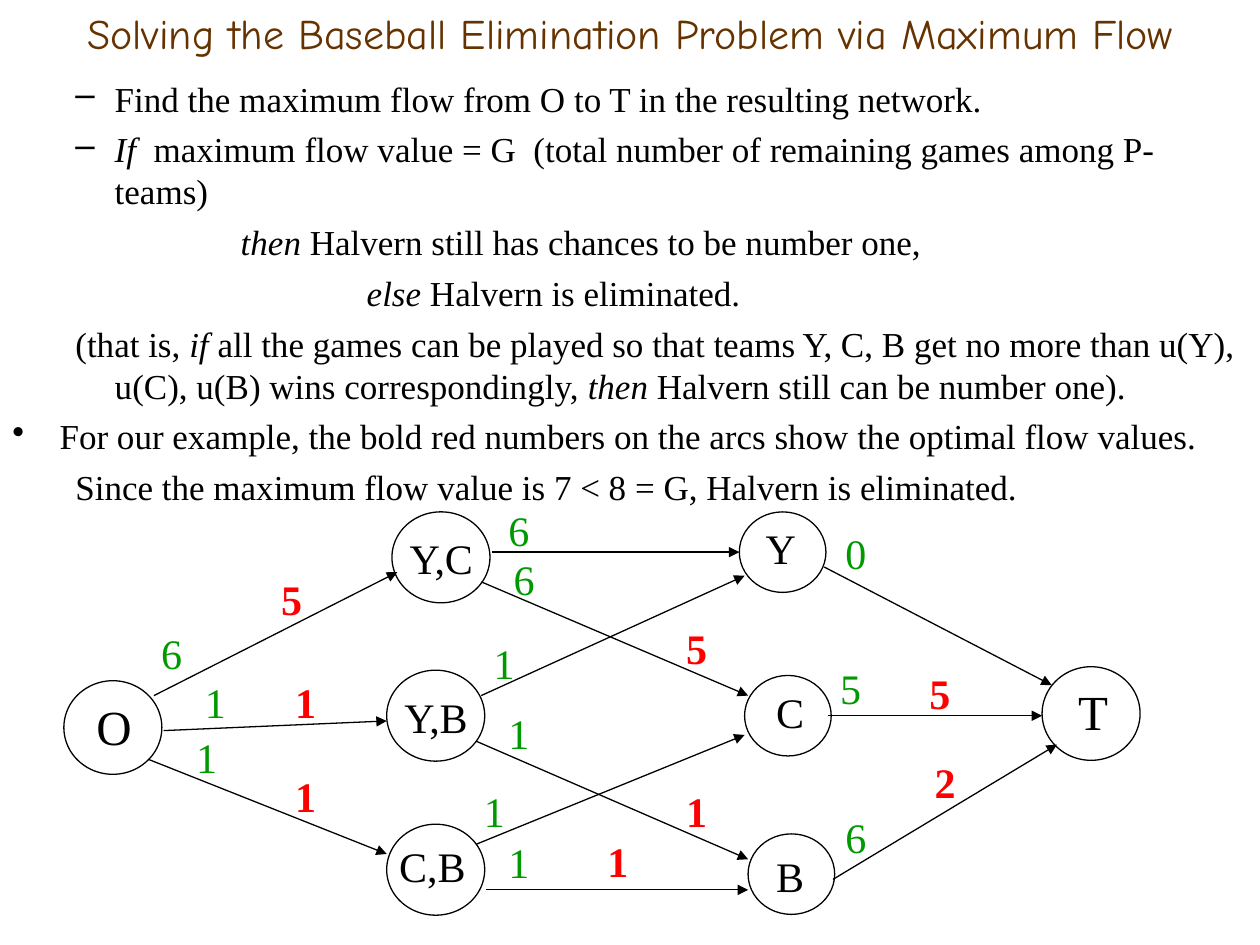
from dataclasses import dataclass
from typing import NamedTuple

from lxml.etree import SubElement
from pptx import Presentation
from pptx.dml.color import RGBColor
from pptx.enum.shapes import MSO_CONNECTOR, MSO_SHAPE
from pptx.enum.text import MSO_ANCHOR, PP_ALIGN
from pptx.oxml.ns import qn
from pptx.slide import Slide
from pptx.text.text import TextFrame
from pptx.util import Pt


@dataclass(frozen=True)
class Theme:
    title_font: str = "Comic Neue"
    body_font: str = "Times New Roman"
    title_size: float = 24
    body_size: float = 20
    label_size: float = 24
    terminal_size: float = 28
    line_width: float = 0.75
    brown: RGBColor = RGBColor(0x66, 0x33, 0x00)
    black: RGBColor = RGBColor(0, 0, 0)
    white: RGBColor = RGBColor(255, 255, 255)
    green: RGBColor = RGBColor(0, 0x99, 0)
    red: RGBColor = RGBColor(255, 0, 0)


THEME = Theme()


class Span(NamedTuple):
    text: str
    italic: bool = False


class Statement(NamedTuple):
    spans: list[Span]
    margin: float = 58.5
    indent: float = -22.5
    bullet: str = ""


class Kind(NamedTuple):
    width: float
    height: float
    label_width: float
    label_height: float
    size: float


class Node(NamedTuple):
    name: str
    kind: Kind
    left: float
    top: float
    label_left: float
    label_top: float


class Arc(NamedTuple):
    start_x: float
    start_y: float
    end_x: float
    end_y: float


class Number(NamedTuple):
    value: str
    left: float
    top: float


STATEMENTS = [
    Statement([Span("Find the maximum flow from O to T in the resulting network.")], bullet="–"),
    Statement([Span("If", True),
               Span("  maximum flow value = G  (total number of remaining games among P-teams)")],
              bullet="–"),
    Statement([Span("then", True), Span(" Halvern still has chances to be number one,")], 130.5, 0),
    Statement([Span("else", True), Span(" Halvern is eliminated.")], 202.5, 0),
    Statement([Span("(that is, "), Span("if", True),
               Span(" all the games can be played so that teams Y, C, B get no more than "
                    "u(Y), u(C), u(B) wins correspondingly, "),
               Span("then", True), Span(" Halvern still can be number one).")]),
    Statement([Span("For our example, the bold red numbers on the arcs show "
                    "the optimal flow values.")], 27, -27, "•"),
    Statement([Span("Since the maximum flow value is 7 < 8 = G, Halvern is eliminated.")]),
]

GAME = Kind(56, 52, 55, 36, THEME.label_size)
TEAM = Kind(49.5, 46, 31, 36, THEME.label_size)
TERMINAL = Kind(56, 53.5, 36, 41, THEME.terminal_size)

NODES = [
    Node("Y,C", GAME, 224, 292.5, 227, 301),
    Node("Y,B", GAME, 221, 383, 224, 391.5),
    Node("C,B", GAME, 221, 471, 221, 476.5),
    Node("Y", TEAM, 422.5, 292.5, 430.5, 295),
    Node("C", TEAM, 425.5, 386, 436.5, 389),
    Node("B", TEAM, 427.5, 476.5, 436.5, 482.5),
    Node("O", TERMINAL, 36.5, 389, 48, 394.5),
    Node("T", TERMINAL, 595.5, 381, 609, 386),
]

ARCS = [
    Arc(88, 397.5, 227, 327),
    Arc(93.5, 417.5, 221, 412),
    Arc(85, 434, 221, 488),
    Arc(281, 315.5, 422.5, 315.5),
    Arc(275, 332.5, 427.5, 397.5),
    Arc(275, 397.5, 425.5, 329),
    Arc(272, 423.5, 427.5, 491),
    Arc(272, 482.5, 425.5, 420),
    Arc(278, 508.5, 427.5, 508.5),
    Arc(471, 324, 601, 391.5),
    Arc(473, 409, 595.5, 409),
    Arc(476, 502.5, 604, 425.5),
]

CAPACITIES = [
    Number("6", 85, 355), Number("1", 110, 383), Number("1", 105, 414.5),
    Number("6", 283.5, 284.5), Number("6", 286.5, 312.5),
    Number("1", 275, 360.5), Number("1", 283.5, 400.5),
    Number("1", 269.5, 445.5), Number("1", 283.5, 474.5),
    Number("0", 476, 298), Number("5", 473, 375), Number("6", 476, 460),
]

FLOWS = [
    Number("5", 153.5, 324), Number("1", 161.5, 383), Number("1", 161.5, 437),
    Number("5", 385, 352), Number("1", 385, 445.5), Number("1", 340, 474),
    Number("5", 524, 378), Number("2", 527, 428.5),
]


def add_text_frame(page: Slide, left: float, top: float, width: float, height: float) -> TextFrame:
    frame = page.shapes.add_textbox(Pt(left), Pt(top), Pt(width), Pt(height)).text_frame
    frame.word_wrap = True
    return frame


def add_label(page: Slide, text: str, left: float, top: float, width: float, height: float,
              size: float, color: RGBColor, bold: bool = False,
              family: str = THEME.body_font) -> TextFrame:
    frame = add_text_frame(page, left, top, width, height)
    para = frame.paragraphs[0]
    para.text = text
    para.font.name = family
    para.font.size = Pt(size)
    para.font.bold = bold
    para.font.color.rgb = color
    return frame


def add_title(page: Slide) -> None:
    frame = add_label(page, "Solving the Baseball Elimination Problem via Maximum Flow",
                      0, 0, 720, 37.5, THEME.title_size, THEME.brown, family=THEME.title_font)
    frame.vertical_anchor = MSO_ANCHOR.MIDDLE
    frame.paragraphs[0].alignment = PP_ALIGN.CENTER


def add_statements(page: Slide) -> None:
    frame = add_text_frame(page, 0, 40.5, 720, 499.5)
    for index, statement in enumerate(STATEMENTS):
        para = frame.add_paragraph() if index else frame.paragraphs[0]
        para.space_before = Pt(5)
        para.line_spacing = Pt(24)
        properties = para._p.get_or_add_pPr()
        properties.set("marL", str(Pt(statement.margin)))
        properties.set("indent", str(Pt(statement.indent)))
        if statement.bullet:
            SubElement(properties, qn("a:buChar"), char=statement.bullet)
        para.font.name = THEME.body_font
        para.font.size = Pt(THEME.body_size)
        para.font.color.rgb = THEME.black
        for text, italic in statement.spans:
            span = para.add_run()
            span.text = text
            span.font.italic = italic


def add_node(page: Slide, node: Node) -> None:
    kind = node.kind
    circle = page.shapes.add_shape(MSO_SHAPE.OVAL, Pt(node.left), Pt(node.top),
                                   Pt(kind.width), Pt(kind.height))
    circle.shadow.inherit = False
    circle.fill.solid()
    circle.fill.fore_color.rgb = THEME.white
    circle.line.color.rgb = THEME.black
    circle.line.width = Pt(THEME.line_width)
    add_label(page, node.name, node.label_left, node.label_top,
              kind.label_width, kind.label_height, kind.size, THEME.black)


def add_arc(page: Slide, arc: Arc) -> None:
    arrow = page.shapes.add_connector(MSO_CONNECTOR.STRAIGHT, *map(Pt, arc))
    arrow.line.color.rgb = THEME.black
    arrow.line.width = Pt(THEME.line_width)
    SubElement(arrow.line._get_or_add_ln(), qn("a:tailEnd"), type="triangle")
    SubElement(arrow._element.spPr, qn("a:effectLst"))


def main() -> None:
    deck = Presentation()
    deck.slide_width, deck.slide_height = Pt(720), Pt(540)
    page = deck.slides.add_slide(deck.slide_layouts[6])
    add_title(page)
    add_statements(page)
    for number in CAPACITIES:
        add_label(page, *number, 28, 36, THEME.label_size, THEME.green)
    for node in NODES:
        add_node(page, node)
    for arc in ARCS:
        add_arc(page, arc)
    for number in FLOWS:
        add_label(page, *number, 23, 36, THEME.label_size, THEME.red, bold=True)
    deck.save("out.pptx")


if __name__ == "__main__":
    main()
